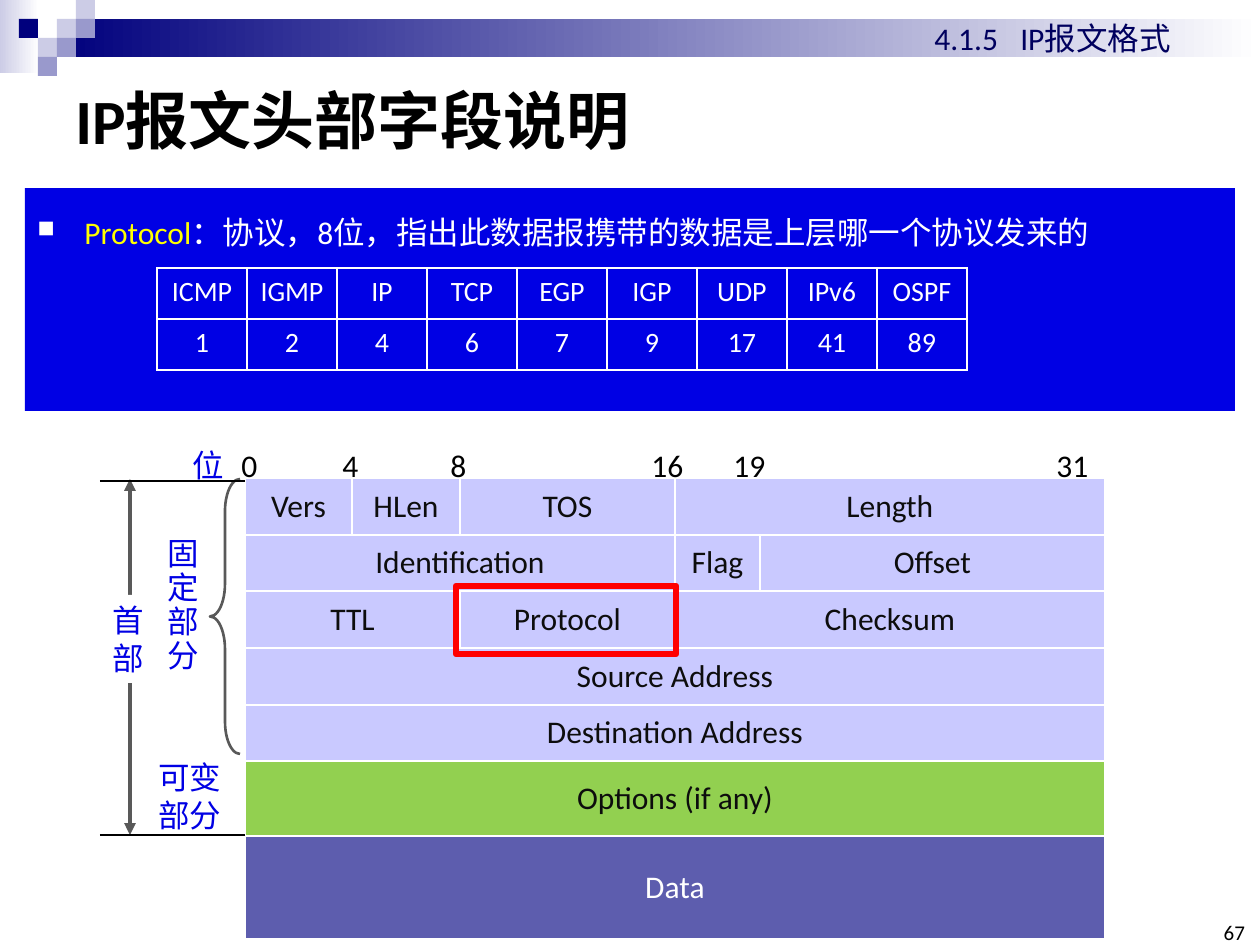
from itertools import product

from pptx import Presentation
from pptx.dml.color import RGBColor
from pptx.enum.shapes import MSO_CONNECTOR, MSO_SHAPE
from pptx.enum.text import MSO_ANCHOR, PP_ALIGN
from pptx.oxml.ns import qn
from pptx.util import Pt
from lxml.etree import SubElement

EMU_PER_PX = 914400 / 126
BLACK = RGBColor(0x00, 0x00, 0x00)
WHITE = RGBColor(0xFF, 0xFF, 0xFF)
INK = RGBColor(0x0D, 0x0D, 0x0D)
GRAY = RGBColor(0x59, 0x59, 0x59)
BLUE = RGBColor(0x00, 0x00, 0xE4)
NAVY = RGBColor(0x00, 0x00, 0x7D)
DARK_NAVY = RGBColor(0x00, 0x00, 0x5E)
PALE = RGBColor(0xCC, 0xCC, 0xE6)
MIDDLE = RGBColor(0x99, 0x99, 0xCC)
LAVENDER = RGBColor(0xC9, 0xC9, 0xFF)
GREEN = RGBColor(0x92, 0xD0, 0x50)
VIOLET = RGBColor(0x5D, 0x5D, 0xAE)
RED = RGBColor(0xFF, 0x00, 0x00)
YELLOW = RGBColor(0xFF, 0xFF, 0x00)


def emu(*lengths):
    return [round(length * EMU_PER_PX) for length in lengths]


class SlideBuilder:
    """Draw styled elements on the current slide, measured in px."""

    latin = "Calibri"
    east_asian = "Noto Sans CJK SC"

    def __init__(self, page):
        self.page = page

    def span(self, para, text, color, size=18, bold=False):
        span = para.add_run()
        span.text = text
        span.font.name = self.latin
        span.font.size = Pt(size)
        span.font.bold = bold
        span.font.color.rgb = color
        SubElement(span.font._element, qn("a:ea"), typeface=self.east_asian)

    def text(self, area, lines, color, size=18, bold=False, wrap=False, spacing=None,
             anchor=MSO_ANCHOR.TOP, align=PP_ALIGN.LEFT, inset=None, tabs=(), fill=None):
        box = self.page.shapes.add_textbox(*emu(*area))
        if fill is not None:
            box.fill.solid()
            box.fill.fore_color.rgb = fill
        frame = box.text_frame
        frame.word_wrap = wrap
        frame.vertical_anchor = anchor
        if inset is not None:
            frame.margin_left = frame.margin_right = inset
            frame.margin_top = frame.margin_bottom = inset
        for index, line in enumerate(lines):
            para = frame.add_paragraph() if index else frame.paragraphs[0]
            para.alignment = align
            para.line_spacing = spacing
            if tabs:
                stops = SubElement(para._p.get_or_add_pPr(), qn("a:tabLst"))
                for stop in emu(*tabs):
                    SubElement(stops, qn("a:tab"), pos=str(stop), algn="l")
            self.span(para, line, color, size, bold)

    def shape(self, area, kind=MSO_SHAPE.RECTANGLE, fill=None, gradient=None, line=None, width=1):
        shape = self.page.shapes.add_shape(kind, *emu(*area))
        shape.shadow.inherit = False
        if gradient:
            shape.fill.gradient()
            shape.fill.gradient_angle = 0
            for stop, color in zip(shape.fill.gradient_stops, gradient):
                stop.color.rgb = color
        elif fill is not None:
            shape.fill.solid()
            shape.fill.fore_color.rgb = fill
        else:
            shape.fill.background()
        if line is None:
            shape.line.fill.background()
        else:
            shape.line.color.rgb = line
            shape.line.width = Pt(width)
        return shape

    def line(self, start, end, color, width, arrows=False):
        line = self.page.shapes.add_connector(MSO_CONNECTOR.STRAIGHT, *emu(*start, *end))
        line.line.color.rgb = color
        line.line.width = Pt(width)
        if arrows:
            for end_name in ("a:headEnd", "a:tailEnd"):
                SubElement(line.line._get_or_add_ln(), qn(end_name), type="triangle")
        SubElement(line._element.spPr, qn("a:effectLst"))

    def cell_style(self, cell, fill):
        properties = cell._tc.get_or_add_tcPr()
        for side in ("a:lnL", "a:lnR", "a:lnT", "a:lnB"):
            border = SubElement(properties, qn(side), w=str(Pt(1)))
            SubElement(SubElement(border, qn("a:solidFill")), qn("a:srgbClr"), val=str(WHITE))
        if fill is None:
            cell.fill.background()
        else:
            cell.fill.solid()
            cell.fill.fore_color.rgb = fill

    def table(self, origin, widths, heights, rows, size, anchor):
        area = emu(*origin, sum(widths), sum(heights))
        table = self.page.shapes.add_table(len(heights), len(widths), *area).table
        table.first_row = table.horz_banding = False
        for column, width in zip(table.columns, emu(*widths)):
            column.width = width
        for row, height in zip(table.rows, emu(*heights)):
            row.height = height
        for row, column in product(range(len(heights)), range(len(widths))):
            self.cell_style(table.cell(row, column), rows[row][0])
        for row, (_, color, fields) in enumerate(rows):
            column = 0
            for name, columns in fields:
                cell = table.cell(row, column)
                if columns > 1:
                    cell.merge(table.cell(row, column + columns - 1))
                cell.vertical_anchor = anchor
                para = cell.text_frame.paragraphs[0]
                para.alignment = PP_ALIGN.CENTER
                self.span(para, name, color, size)
                column += columns

    def panel(self, area, fill, spans):
        frame = self.shape(area, fill=fill).text_frame
        frame.word_wrap = True
        frame.vertical_anchor = MSO_ANCHOR.TOP
        para = frame.paragraphs[0]
        para.alignment = PP_ALIGN.LEFT
        para.line_spacing = 1.5
        para.space_before = Pt(3.6)
        properties = para._p.get_or_add_pPr()
        indent = emu(47)[0]
        properties.set("marL", str(indent))
        properties.set("indent", str(-indent))
        color = SubElement(properties, qn("a:buClr"))
        SubElement(color, qn("a:srgbClr"), val=str(WHITE))
        SubElement(properties, qn("a:buSzPct"), val="75000")
        SubElement(properties, qn("a:buChar"), char="■")
        for text, color in spans:
            self.span(para, text, color)


def main():
    deck = Presentation()
    deck.slide_width, deck.slide_height = emu(1260, 945)
    slide = SlideBuilder(deck.slides.add_slide(deck.slide_layouts[6]))

    slide.shape((0, 0, 39, 73), gradient=(PALE, WHITE))
    slide.shape((57, 19, 1203, 38), gradient=(NAVY, WHITE))
    square = 19
    mosaic = {PALE: [(3, 1), (4, 0), (2, 2)], MIDDLE: [(4, 1), (3, 2), (2, 3)], NAVY: [(1, 1)]}
    for color, places in mosaic.items():
        for column, row in places:
            slide.shape((column * square, row * square, square, square), fill=color)

    slide.text((63, 63, 1134, 112), ["IP报文头部字段说明"], BLACK, 36, bold=True, wrap=True,
               anchor=MSO_ANCHOR.MIDDLE)
    slide.text((1216, 924, 29, 21), ["67"], BLACK, 12, anchor=MSO_ANCHOR.BOTTOM,
               align=PP_ALIGN.RIGHT, inset=0)
    slide.text((922, 13, 289, 50), ["4.1.5\tIP报文格式"], DARK_NAVY, wrap=True, tabs=[86])

    header = [
        (LAVENDER, INK, [("Vers", 1), ("HLen", 1), ("TOS", 1), ("Length", 2)]),
        (LAVENDER, INK, [("Identification", 3), ("Flag", 1), ("Offset", 1)]),
        (LAVENDER, INK, [("TTL", 2), ("Protocol", 1), ("Checksum", 2)]),
        (LAVENDER, INK, [("Source Address", 5)]),
        (LAVENDER, INK, [("Destination Address", 5)]),
        (GREEN, INK, [("Options (if any)", 5)]),
        (VIOLET, WHITE, [("Data", 5)]),
    ]
    slide.table((245, 478), [107, 108, 215, 85, 345], [57, 56, 57, 57, 56, 75, 103],
                header, 18, MSO_ANCHOR.MIDDLE)

    slide.text((155, 532, 57, 150), "固定部分", BLUE, spacing=0.9)
    slide.text((146, 752, 88, 88), ["可变", "部分"], BLUE)
    slide.text((229, 440, 896, 50), ["0\t4\t8\t16\t19\t31"], BLACK, wrap=True,
               tabs=[101, 209, 410, 492, 815])
    slide.text((180, 440, 57, 50), ["位"], BLUE)
    slide.line((130, 479), (130, 835), GRAY, 2.25, arrows=True)
    slide.text((100, 595, 57, 88), "首部", BLUE, fill=WHITE)
    brace = slide.shape((210, 479, 30, 275), MSO_SHAPE.LEFT_BRACE, line=GRAY, width=1.5)
    brace.adjustments[0] = 1.08
    for y in (481, 835):
        slide.line((100, y), (245, y), BLACK, 1.25)

    slide.panel((25, 188, 1210, 223), BLUE, [
        ("Protocol", YELLOW),
        ("：协议，8位，指出此数据报携带的数据是上层哪一个协议发来的", WHITE),
    ])
    slide.shape((456, 586, 220, 68), line=RED, width=3.75)
    protocols = {"ICMP": 1, "IGMP": 2, "IP": 4, "TCP": 6, "EGP": 7, "IGP": 9,
                 "UDP": 17, "IPv6": 41, "OSPF": 89}
    numbers = [(None, WHITE, [(str(value), 1) for value in values])
               for values in (protocols.keys(), protocols.values())]
    slide.table((157, 268), [90] * len(protocols), [51, 51], numbers, 16, MSO_ANCHOR.TOP)

    deck.save("out.pptx")


if __name__ == "__main__":
    main()
